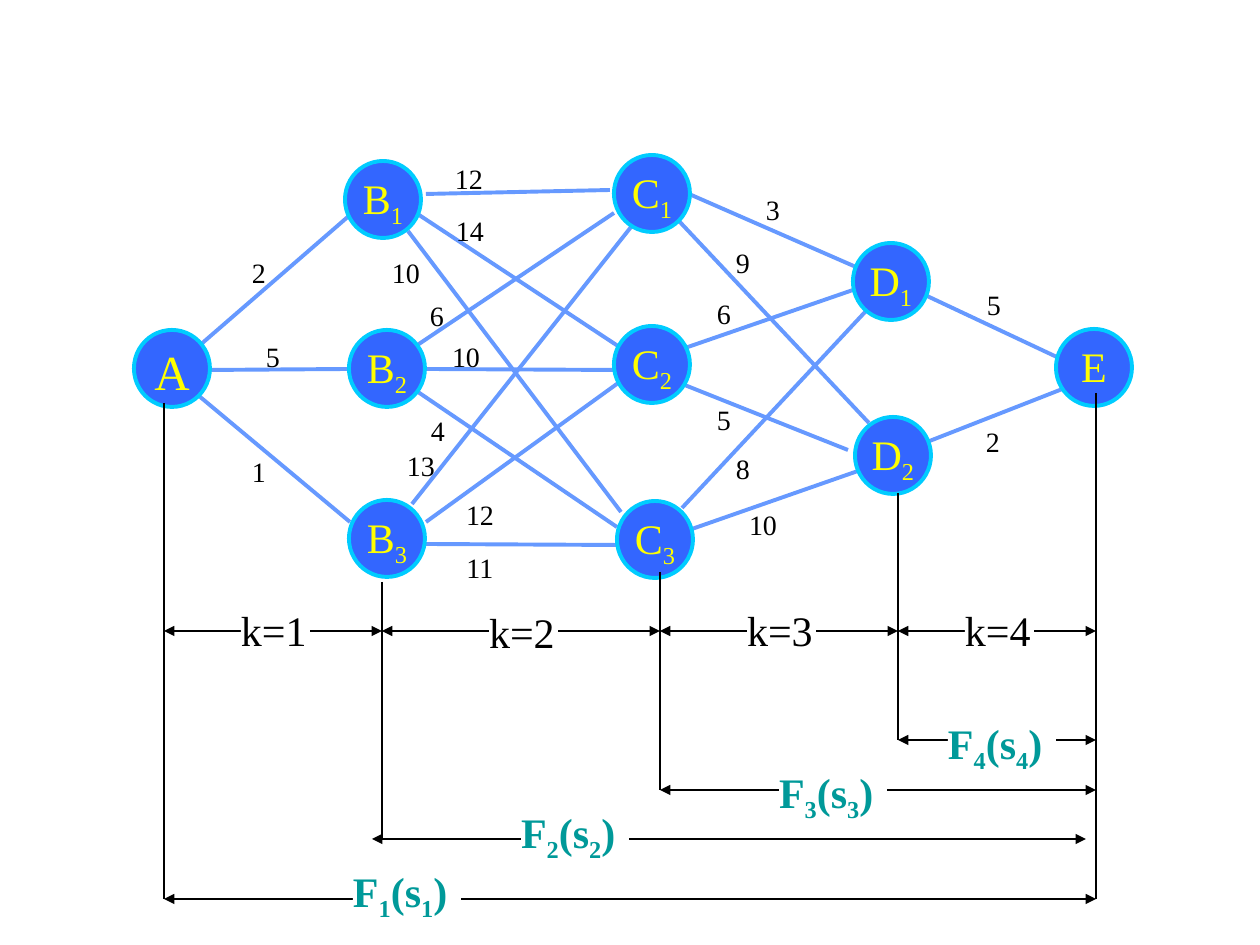
from dataclasses import dataclass

import pptx
import pptx.dml.color
import pptx.enum.shapes
import pptx.enum.text
import pptx.oxml.ns
import pptx.util
from lxml import etree

RGBColor = pptx.dml.color.RGBColor
Shape = pptx.enum.shapes.MSO_SHAPE
Align = pptx.enum.text.PP_ALIGN

BLACK = RGBColor(0x00, 0x00, 0x00)
WHITE = RGBColor(0xFF, 0xFF, 0xFF)
EDGE_BLUE = RGBColor(0x66, 0x99, 0xFF)
NODE_BLUE = RGBColor(0x33, 0x66, 0xFF)
NODE_RIM = RGBColor(0x00, 0xCC, 0xFF)
NODE_TEXT = RGBColor(0xFF, 0xFF, 0x00)
TEAL = RGBColor(0x00, 0x99, 0x99)

FONT = "Times New Roman"
PX_PER_INCH = 126
NODE_W, NODE_H = 76, 77
WEIGHT_W, WEIGHT_H = 40, 42
STAGE_W, STAGE_H = 69, 63
VALUE_W, VALUE_H = 108, 71
STAGE_Y = 631


@dataclass(frozen=True)
class Edge:
    x1: int
    y1: int
    x2: int
    y2: int
    weight: str
    label_x: int
    label_y: int
    align: Align = Align.CENTER


@dataclass(frozen=True)
class Node:
    """A state; a character after "_" in the name is a subscript."""
    name: str
    x: int
    y: int
    size: int = 24


@dataclass(frozen=True)
class Divider:
    x: int
    top: int
    bottom: int


@dataclass(frozen=True)
class Span:
    """A double-headed arrow with a label on it."""
    x1: int
    x2: int
    y: int
    text: str
    label_x: int
    label_y: int


EDGES = [
    Edge(199, 346, 350, 215, "2", 239, 256),
    Edge(209, 370, 350, 369, "5", 253, 340),
    Edge(199, 396, 350, 522, "1", 239, 455),
    Edge(426, 194, 610, 190, "12", 449, 161),
    Edge(416, 213, 621, 348, "14", 450, 214),
    Edge(408, 231, 621, 512, "10", 386, 256),
    Edge(416, 346, 614, 213, "6", 417, 299),
    Edge(426, 369, 614, 370, "10", 446, 340),
    Edge(418, 392, 617, 527, "4", 418, 413),
    Edge(412, 504, 631, 227, "13", 407, 449, Align.JUSTIFY),
    Edge(426, 522, 621, 381, "12", 460, 498),
    Edge(426, 544, 617, 545, "11", 460, 551),
    Edge(689, 194, 856, 267, "3", 753, 193),
    Edge(678, 220, 869, 423, "9", 723, 246),
    Edge(685, 348, 856, 289, "6", 704, 297),
    Edge(682, 384, 848, 450, "5", 704, 403),
    Edge(682, 508, 866, 311, "8", 723, 452),
    Edge(689, 530, 858, 471, "10", 743, 508),
    Edge(927, 296, 1061, 359, "5", 974, 287),
    Edge(927, 442, 1065, 388, "2", 973, 425),
]
NODES = [
    Node("A", 134, 330, 28),
    Node("B_1", 345, 161), Node("B_2", 349, 330), Node("B_3", 349, 500),
    Node("C_1", 614, 155), Node("C_2", 614, 326), Node("C_3", 617, 501),
    Node("D_1", 853, 243), Node("D_2", 855, 417),
    Node("E", 1056, 329),
]
DIVIDERS = [
    Divider(164, 403, 899), Divider(382, 582, 839), Divider(660, 572, 790),
    Divider(898, 493, 740), Divider(1096, 393, 899),
]
STAGE_LABELS = [(241, 599), (489, 601), (747, 599), (965, 599)]
STAGES = [
    Span(left.x, right.x, STAGE_Y, f"k={k}", *label)
    for k, (left, right, label) in enumerate(zip(DIVIDERS, DIVIDERS[1:], STAGE_LABELS), 1)
]
VALUES = [
    Span(898, 1096, 740, "F_4(s_4)", 948, 711),
    Span(660, 1096, 790, "F_3(s_3)", 779, 760),
    Span(372, 1086, 839, "F_2(s_2)", 521, 800),
    Span(164, 1096, 899, "F_1(s_1)", 353, 859),
]


def px(n: int) -> pptx.util.Emu:
    return pptx.util.Emu(round(n * 914400 / PX_PER_INCH))


def add_line(s, x1: int, y1: int, x2: int, y2: int, color: RGBColor,
             width: float, arrows: bool = False) -> None:
    line = s.shapes.add_connector(
        pptx.enum.shapes.MSO_CONNECTOR.STRAIGHT, px(x1), px(y1), px(x2), px(y2))
    line.line.color.rgb = color
    line.line.width = pptx.util.Pt(width)
    if arrows:
        ln = line.line._get_or_add_ln()
        for end in ("a:headEnd", "a:tailEnd"):
            etree.SubElement(ln, pptx.oxml.ns.qn(end), type="triangle")
    etree.SubElement(line._element.spPr, pptx.oxml.ns.qn("a:effectLst"))


def write(sp, text: str, size: int, color: RGBColor, align: Align,
          bold: bool = False, inset_y: int = 0) -> None:
    tf = sp.text_frame
    tf.word_wrap = False
    tf.margin_left = tf.margin_right = 0
    tf.margin_top = tf.margin_bottom = px(inset_y)
    tf.vertical_anchor = pptx.enum.text.MSO_ANCHOR.TOP
    p = tf.paragraphs[0]
    p.alignment = align
    p.font.name = FONT
    p.font.size = pptx.util.Pt(size)
    p.font.color.rgb = color
    p.font.bold = bold
    base, *rest = text.split("_")
    p.add_run().text = base
    for part in rest:
        r = p.add_run()
        r.text = part[0]
        r._r.get_or_add_rPr().set("baseline", "-25000")
        if part[1:]:
            p.add_run().text = part[1:]


def add_filled(s, kind: Shape, x: int, y: int, w: int, h: int, fill: RGBColor):
    sp = s.shapes.add_shape(kind, px(x), px(y), px(w), px(h))
    sp.shadow.inherit = False
    sp.fill.solid()
    sp.fill.fore_color.rgb = fill
    return sp


def add_weight(s, e: Edge) -> None:
    sp = s.shapes.add_textbox(px(e.label_x), px(e.label_y), px(WEIGHT_W), px(WEIGHT_H))
    write(sp, e.weight, 16, BLACK, e.align)


def add_node(s, n: Node) -> None:
    sp = add_filled(s, Shape.OVAL, n.x, n.y, NODE_W, NODE_H, NODE_BLUE)
    sp.line.color.rgb = NODE_RIM
    sp.line.width = pptx.util.Pt(2.25)
    write(sp, n.name, n.size, NODE_TEXT, Align.CENTER)


def add_span(s, span: Span, w: int, h: int, color: RGBColor, bold: bool) -> None:
    add_line(s, span.x1, span.y, span.x2, span.y, BLACK, 0.75, arrows=True)
    sp = add_filled(s, Shape.RECTANGLE, span.label_x, span.label_y, w, h, WHITE)
    sp.line.fill.background()
    write(sp, span.text, 24, color, Align.LEFT, bold, inset_y=6)


def main() -> None:
    prs = pptx.Presentation()
    prs.slide_width, prs.slide_height = px(1260), px(945)
    s = prs.slides.add_slide(prs.slide_layouts[6])
    for e in EDGES:
        add_line(s, e.x1, e.y1, e.x2, e.y2, EDGE_BLUE, 2.25)
    for e in EDGES:
        add_weight(s, e)
    for n in NODES:
        add_node(s, n)
    for d in DIVIDERS:
        add_line(s, d.x, d.top, d.x, d.bottom, BLACK, 0.75)
    for span in STAGES:
        add_span(s, span, STAGE_W, STAGE_H, BLACK, bold=False)
    for span in VALUES:
        add_span(s, span, VALUE_W, VALUE_H, TEAL, bold=True)
    prs.save("out.pptx")


if __name__ == "__main__":
    main()
